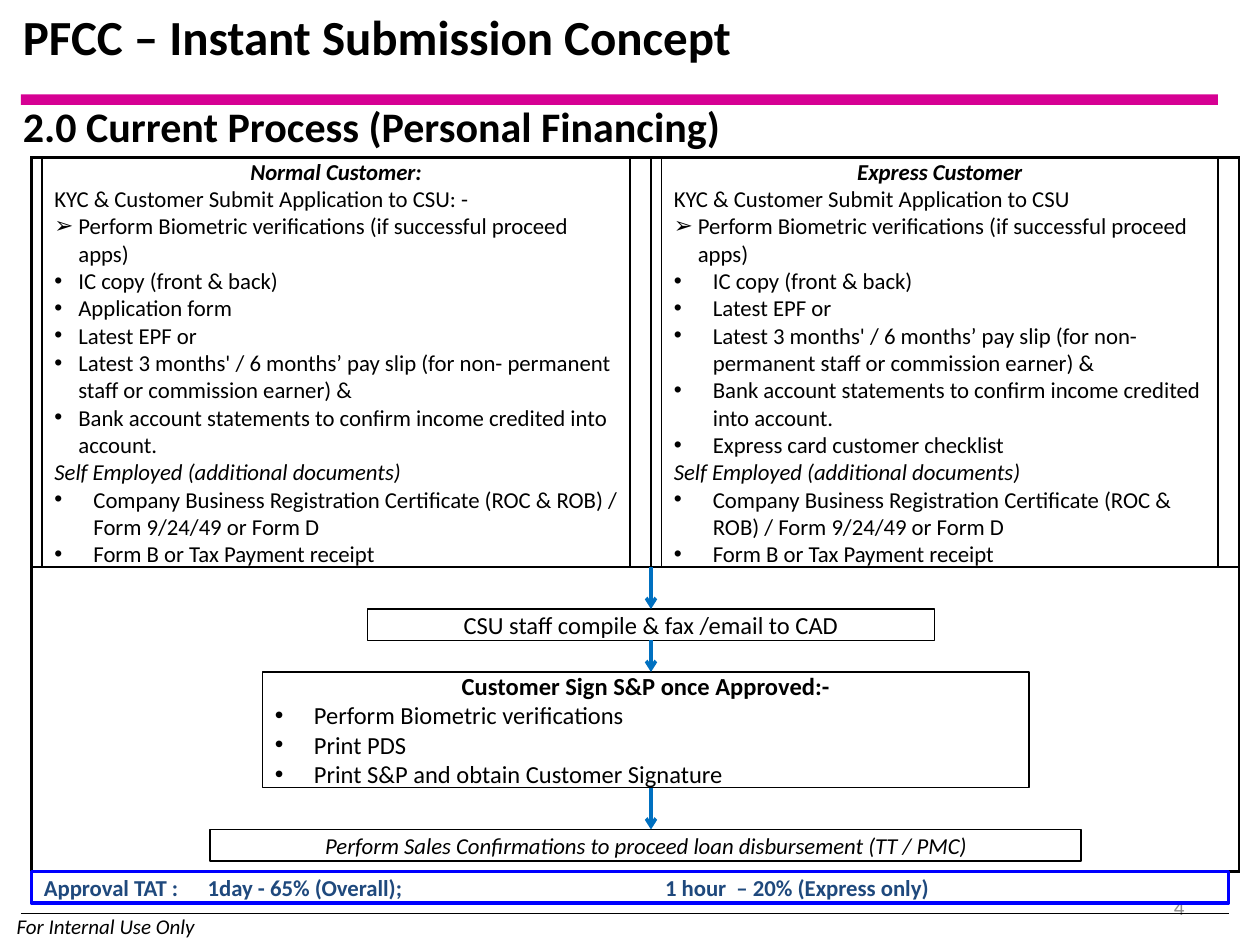
from lxml import etree
from pptx import Presentation
from pptx import util as u
from pptx.dml.color import RGBColor
from pptx.enum import shapes, text
from pptx.oxml import parse_xml
from pptx.oxml.ns import nsdecls, qn

COLS, ROWS, UNIT = 120, 90, u.Inches(10) // 120
FONT, BLACK, BLUE, PINK = "Calibri", "000000", "0070C0", "D60093"
ARROW, DOT = "➢", "•"
NARROW, WIDE = 0.19, 0.31

VERIFY = ("Perform Biometric verifications (if successful proceed apps)", ARROW, NARROW)
INCOME = [
    "Latest EPF or",
    "Latest 3 months' / 6 months’ pay slip (for non- permanent staff or commission earner) &",
    "Bank account statements to confirm income credited into account.",
]
SELF_EMPLOYED = [
    "Company Business Registration Certificate (ROC & ROB) / Form 9/24/49 or Form D",
    "Form B or Tax Payment receipt",
]


def grid(*cells):
    return [round(c * UNIT) for c in cells]


def rgb(value):
    return RGBColor.from_string(value)


def add_xml(parent, tag, **attrs):
    el = etree.SubElement(parent, qn(tag))
    for name, value in attrs.items():
        el.set(name, str(value))
    return el


def style(p, size, color=BLACK, bold=False, italic=False, align="LEFT"):
    p.alignment = getattr(text.PP_ALIGN, align)
    for r in p.runs:
        f = r.font
        f.name, f.size, f.bold, f.italic = FONT, u.Pt(size), bold, italic
        f.color.rgb = rgb(color)


def bullet(p, mark, indent):
    pPr = p._p.get_or_add_pPr()
    pPr.set("marL", str(u.Inches(indent)))
    pPr.set("indent", str(-u.Inches(indent)))
    add_xml(pPr, "a:buFont", typeface="Arial")
    add_xml(pPr, "a:buChar", char=mark)


def next_paragraph(tf, words):
    p = tf.add_paragraph() if tf.text else tf.paragraphs[0]
    p.text = words
    return p


def label(s, box, words, size, **look):
    tf = s.shapes.add_textbox(*grid(*box)).text_frame
    tf.word_wrap = True
    p = next_paragraph(tf, words)
    style(p, size, **look)
    return tf


def frame(s, box, line=BLACK, width=1):
    """Add an unfilled outlined box and return its text frame."""
    sp = s.shapes.add_shape(shapes.MSO_SHAPE.RECTANGLE, *grid(*box))
    sp.shadow.inherit = False
    sp.fill.background()
    sp.line.color.rgb, sp.line.width = rgb(line), u.Pt(width)
    tf = sp.text_frame
    tf.word_wrap = True
    tf.vertical_anchor = text.MSO_ANCHOR.MIDDLE
    return tf


def connector(s, start, end, color, width, arrow=False):
    c = s.shapes.add_connector(shapes.MSO_CONNECTOR.STRAIGHT, *grid(*start, *end))
    c.line.color.rgb, c.line.width = rgb(color), u.Pt(width)
    if arrow:
        add_xml(c.line._get_or_add_ln(), "a:tailEnd", type="arrow")
    add_xml(c._element.spPr, "a:effectLst")


def header(s, box):
    x, y, w, h = box
    bar = s.shapes.add_shape(shapes.MSO_SHAPE.RECTANGLE, *grid(x + 1, y + 9, w - 2, 1))
    bar.shadow.inherit = False
    bar.fill.solid()
    bar.fill.fore_color.rgb = rgb(PINK)
    bar.line.fill.background()
    title = label(s, (x, y, w, 6.8), "PFCC – Instant Submission Concept", 28, bold=True)
    title.paragraphs[0].space_after = u.Pt(6)
    label(s, (x, y + 9, w, h - 9), "2.0 Current Process (Personal Financing)", 24, bold=True)


def process_table(s, box, cols, rows):
    table = s.shapes.add_table(len(rows), len(cols), *grid(*box)).table
    table.first_row = table.horz_banding = False
    for line, sizes in ((table.columns, cols), (table.rows, rows)):
        for part, size in zip(line, grid(*sizes)):
            if line is table.columns:
                part.width = size
            else:
                part.height = size
    for cell in table.iter_cells():
        cell.fill.background()
        tcPr = cell._tc.get_or_add_tcPr()
        for i, side in enumerate("LRTB"):
            tcPr.insert(i, parse_xml(
                f'<a:ln{side} {nsdecls("a")} w="{u.Pt(1.5)}"><a:solidFill>'
                f'<a:srgbClr val="{BLACK}"/></a:solidFill></a:ln{side}>'))
    table.cell(1, 0).merge(table.cell(1, 1))


def customer(s, box, heading, opening, documents, indent):
    tf = frame(s, box)
    style(next_paragraph(tf, heading), 13, bold=True, italic=True, align="CENTER")
    lines = [(opening, None, 0), VERIFY]
    lines += [(d, DOT, indent) for d in documents]
    lines += [("Self Employed (additional documents)", None, 0)]
    lines += [(d, DOT, WIDE) for d in SELF_EMPLOYED]
    for words, mark, depth in lines:
        p = next_paragraph(tf, words)
        style(p, 13, italic=words.startswith("Self Employed"))
        if mark:
            bullet(p, mark, depth)


def approval_flow(s, box):
    x, y, w, h = box
    compile_step = frame(s, (x + 32, y + 4, 54, 3))
    style(next_paragraph(compile_step, "CSU staff compile & fax /email to CAD"), 14, align="CENTER")
    sign = frame(s, (x + 22, y + 10, 73, 11))
    style(next_paragraph(sign, "Customer Sign S&P once Approved:-"), 14, bold=True, align="CENTER")
    for words in ("Perform Biometric verifications", "Print PDS",
                  "Print S&P and obtain Customer Signature"):
        p = next_paragraph(sign, words)
        style(p, 14)
        bullet(p, DOT, WIDE)
    confirm = frame(s, (x + 17, y + h - 4, 83, 3))
    style(next_paragraph(confirm, "Perform Sales Confirmations to proceed loan disbursement (TT / PMC)"),
          13, italic=True, align="CENTER")
    for top, bottom in ((0, 4), (7, 10), (21, 25)):
        connector(s, (x + 59, y + top), (x + 59, y + bottom), BLUE, 2, arrow=True)


def turnaround(s, box):
    tf = frame(s, box, "0000FF", 2)
    p = next_paragraph(tf, "Approval TAT :\t1day - 65% (Overall);\t1 hour  – 20% (Express only)")
    style(p, 13, color="1F497D", bold=True)
    tabs = add_xml(p._p.get_or_add_pPr(), "a:tabLst")
    for stop in (1.3, 4.93):
        add_xml(tabs, "a:tab", pos=u.Inches(stop), algn="l")


def footer(s, box):
    x, y, w, h = box
    number = label(s, (86, y, 28, 4.8), "4", 12, color="8C8C8C", align="RIGHT")
    number.vertical_anchor = text.MSO_ANCHOR.MIDDLE
    label(s, (0.4, y + 2.4, 79, 3.6), "For Internal Use Only", 12, italic=True)
    connector(s, (x, y + h / 2), (x + w, y + h / 2), BLACK, 0.75)


def main():
    prs = Presentation()
    prs.slide_width, prs.slide_height = grid(COLS, ROWS)
    s = prs.slides.add_slide(prs.slide_layouts[6])
    footer(s, (2, 84, 115, 6))
    header(s, (1, 0, 116, 15))
    process_table(s, (3, 15, 115, 68), (59, 56), (39, 29))
    customer(s, (4, 15, 56, 39), "Normal Customer:", "KYC & Customer Submit Application to CSU: -",
             ["IC copy (front & back)", "Application form", *INCOME], NARROW)
    customer(s, (63, 15, 53, 39), "Express Customer", "KYC & Customer Submit Application to CSU",
             ["IC copy (front & back)", *INCOME, "Express card customer checklist"], WIDE)
    approval_flow(s, (3, 54, 115, 29))
    turnaround(s, (3, 83, 114, 3))
    prs.save("out.pptx")


if __name__ == "__main__":
    main()
